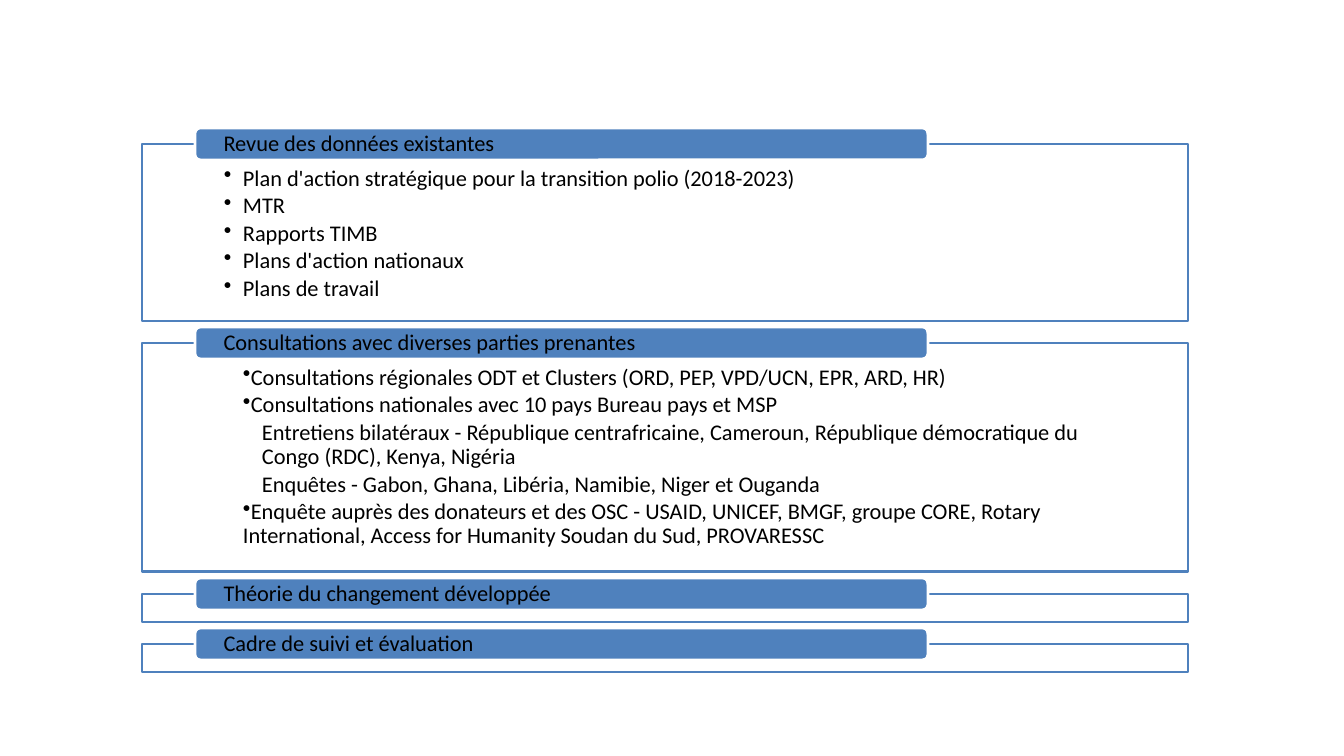
from pptx import Presentation
from pptx.dml.color import RGBColor
from pptx.enum.shapes import MSO_SHAPE
from pptx.enum.text import MSO_ANCHOR, PP_ALIGN
from pptx.oxml.ns import qn
from pptx.util import Emu, Pt
from lxml.etree import SubElement

# Content: heading, body height in px, lines of (style, text)
SECTIONS = [
    ("Revue des données existantes", 177, [
        ("hang", "Plan d'action stratégique pour la transition polio (2018-2023)"),
        ("hang", "MTR"),
        ("hang", "Rapports TIMB"),
        ("hang", "Plans d'action nationaux"),
        ("hang", "Plans de travail"),
    ]),
    ("Consultations avec diverses parties prenantes", 229, [
        ("flush", "Consultations régionales ODT et Clusters (ORD, PEP, VPD/UCN, EPR, ARD, HR)"),
        ("flush", "Consultations nationales avec 10 pays Bureau pays et MSP"),
        ("sub", "Entretiens bilatéraux - République centrafricaine, Cameroun, "
                "République démocratique du Congo (RDC), Kenya, Nigéria"),
        ("sub", "Enquêtes - Gabon, Ghana, Libéria, Namibie, Niger et Ouganda"),
        ("flush", "Enquête auprès des donateurs et des OSC - USAID, UNICEF, BMGF, groupe CORE, "
                  "Rotary International, Access for Humanity Soudan du Sud, PROVARESSC"),
    ]),
    ("Théorie du changement développée", 28, []),
    ("Cadre de suivi et évaluation", 28, []),
]

THEME = {
    "blue": RGBColor(0x4F, 0x81, 0xBD),
    "white": RGBColor(0xFF, 0xFF, 0xFF),
    "black": RGBColor(0, 0, 0),
    "font": "Calibri",
    "size": Pt(16),
    "line": Pt(2),
    "after": Pt(2.4),
}

# Line styles: level, left margin px, first-line indent px, bullet
STYLES = {
    "hang": (1, 19, -19, "•"),
    "flush": (1, 19, 0, "•"),
    "sub": (2, 38, 0, None),
    "head": (0, 0, 0, None),
}

# Layout in px
WIDE, HIGH = 1344, 756
BOX_X, BOX_W, TOP, GAP = 142, 1046, 144, 22
TAB_X, TAB_W, TAB_H = 195, 733, 32
BOX_PAD = (82, 23, 82, 12)
TAB_PAD = (27, 0, 27, 0)


def px(n):
    return Emu(round(n * 914400 / 100.8))


def add_box(slide, kind, place, fill, edge, pad, anchor):
    box = slide.shapes.add_shape(kind, *map(px, place))
    box.shadow.inherit = False
    box.fill.solid()
    box.fill.fore_color.rgb = fill
    box.line.color.rgb = edge
    box.line.width = THEME["line"]
    frame = box.text_frame
    frame.word_wrap = True
    frame.vertical_anchor = anchor
    frame.margin_left, frame.margin_top, frame.margin_right, frame.margin_bottom = map(px, pad)
    return box


def add_lines(frame, lines):
    for i, (style, text) in enumerate(lines):
        level, left, first, mark = STYLES[style]
        para = frame.add_paragraph() if i else frame.paragraphs[0]
        para.level = level
        para.alignment = PP_ALIGN.LEFT
        para.line_spacing = 0.9
        para.space_after = THEME["after"]
        props = para._p.get_or_add_pPr()
        props.set("marL", str(px(left)))
        props.set("indent", str(px(first)))
        if mark:
            SubElement(props, qn("a:buChar"), char=mark)
        run = para.add_run()
        run.text = text
        run.font.name = THEME["font"]
        run.font.size = THEME["size"]
        run.font.color.rgb = THEME["black"]


def main():
    deck = Presentation()
    deck.slide_width, deck.slide_height = px(WIDE), px(HIGH)
    slide = deck.slides.add_slide(deck.slide_layouts[6])

    top = TOP
    for title, high, lines in SECTIONS:
        # Outlined body, slightly see-through
        body = add_box(slide, MSO_SHAPE.RECTANGLE, (BOX_X, top, BOX_W, high),
                       THEME["white"], THEME["blue"], BOX_PAD, MSO_ANCHOR.TOP)
        tint = body._element.spPr.find(qn("a:solidFill"))[0]
        SubElement(tint, qn("a:alpha"), val="90000")
        add_lines(body.text_frame, lines)

        # Heading tab centred on the top edge
        tab = add_box(slide, MSO_SHAPE.ROUNDED_RECTANGLE,
                      (TAB_X, top - TAB_H / 2, TAB_W, TAB_H),
                      THEME["blue"], THEME["white"], TAB_PAD, MSO_ANCHOR.MIDDLE)
        add_lines(tab.text_frame, [("head", title)])
        top += high + GAP

    deck.save("out.pptx")


if __name__ == "__main__":
    main()
